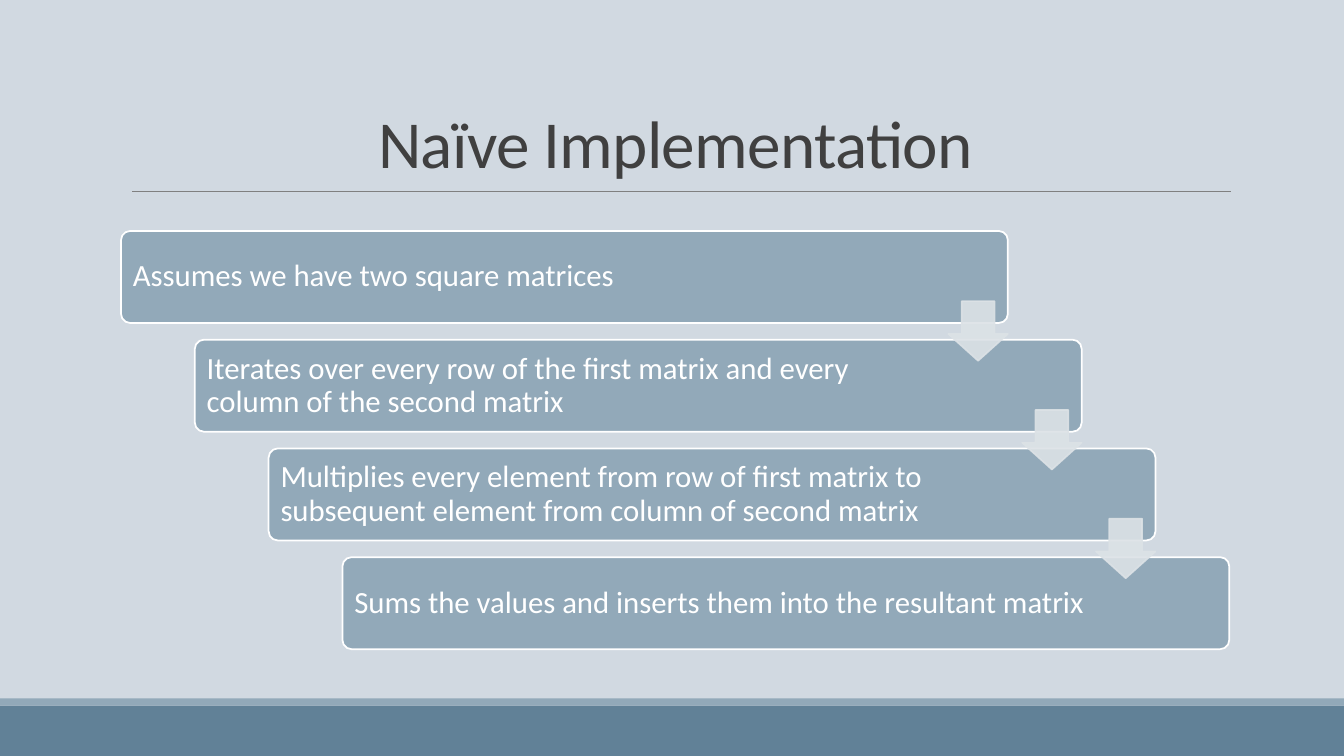
"""Build the slide "Naïve Implementation", a staircase of four process steps."""
from dataclasses import dataclass

from lxml.etree import SubElement
from pptx import Presentation
from pptx.dml.color import RGBColor
from pptx.enum.shapes import MSO_CONNECTOR as Connector, MSO_SHAPE as Preset
from pptx.enum.text import MSO_ANCHOR as Anchor, MSO_AUTO_SIZE as AutoSize
from pptx.oxml.ns import qn
from pptx.util import Cm, Pt

COLORS = {
    "background": "D1D9E1",
    "band": "618197",
    "step": "92A9B9",
    "arrow": "DCE2E6",
    "rule": "808080",
    "title": "404040",
    "white": "FFFFFF",
}


@dataclass(frozen=True)
class Box:
    """A rectangle in centimetres."""
    left: float
    top: float
    width: float
    height: float

    def shifted(self, right: float, down: float) -> "Box":
        """Return the box moved by the given distances."""
        return Box(self.left + right, self.top + down, self.width, self.height)

    def lengths(self) -> tuple[Cm, Cm, Cm, Cm]:
        """Return left, top, width and height as lengths."""
        return Cm(self.left), Cm(self.top), Cm(self.width), Cm(self.height)


@dataclass(frozen=True)
class Step:
    """One step of the algorithm and the width of its wording."""
    wording: str
    text_width: float = 18.86


STEPS = [
    Step("Assumes we have two square matrices", 19.66),
    Step("Iterates over every row of the first matrix and every column "
         "of the second matrix"),
    Step("Multiplies every element from row of first matrix to subsequent "
         "element from column of second matrix"),
    Step("Sums the values and inserts them into the resultant matrix"),
]
FIRST_CARD = Box(3.05, 5.82, 22.35, 2.32)
FIRST_ARROW = Box(23.9, 7.59, 1.5, 1.5)
STEP_RIGHT, STEP_DOWN = 1.86, 2.74
CARD_PADDING = 0.07


def rgb(name: str) -> RGBColor:
    """Look up a colour of the slide."""
    return RGBColor.from_string(COLORS[name])


def write(frame, text: str, *, size: float, color: str, spacing: float,
          anchor: Anchor, inset: float = 0.23, tracking: float = 0) -> None:
    """Put formatted text into a text frame."""
    frame.word_wrap = True
    frame.auto_size = AutoSize.NONE
    frame.vertical_anchor = anchor
    frame.margin_left = frame.margin_right = Cm(inset)
    frame.margin_top = frame.margin_bottom = Cm(inset)
    paragraph = frame.paragraphs[0]
    paragraph.line_spacing = spacing
    run = paragraph.add_run()
    run.text = text
    run.font.name = "Calibri"
    run.font.size = Pt(size)
    run.font.color.rgb = rgb(color)
    if tracking:
        run.font._element.set("spc", str(round(tracking * 100)))


def add_preset(slide, preset: Preset, box: Box, fill: str, *,
               outline: str | None = None, adjust: tuple[float, ...] = (),
               opacity: int = 100) -> None:
    """Draw a preset shape with a flat fill."""
    shape = slide.shapes.add_shape(preset, *box.lengths())
    shape.shadow.inherit = False
    for index, value in enumerate(adjust):
        shape.adjustments[index] = value
    shape.fill.solid()
    shape.fill.fore_color.rgb = rgb(fill)
    if outline:
        shape.line.color.rgb = rgb(outline)
        shape.line.width = Pt(1.25)
    else:
        shape.line.fill.background()
    if opacity < 100:
        for color in shape._element.spPr.iter(qn("a:srgbClr")):
            SubElement(color, qn("a:alpha"), val=str(opacity * 1000))


def add_backdrop(slide) -> None:
    """Draw the background, the bottom bands and the rule under the title."""
    slide.background.fill.solid()
    slide.background.fill.fore_color.rgb = rgb("background")
    add_preset(slide, Preset.RECTANGLE, Box(0, 17.78, 33.87, 1.27), "band")
    add_preset(slide, Preset.RECTANGLE, Box(0, 17.6, 33.87, 0.18), "step")
    rule = slide.shapes.add_connector(
        Connector.STRAIGHT, Cm(3.33), Cm(4.82), Cm(31.01), Cm(4.82))
    rule.line.color.rgb = rgb("rule")
    rule.line.width = Pt(0.5)
    SubElement(rule._element.spPr, qn("a:effectLst"))


def add_title(slide, text: str) -> None:
    """Place and format the title placeholder."""
    title = slide.shapes.title
    title.left, title.top, title.width, title.height = Box(
        3.05, 0.79, 27.94, 4.04).lengths()
    write(title.text_frame, text, size=48, color="title", spacing=0.85,
          anchor=Anchor.BOTTOM, inset=0.25, tracking=-0.5)


def add_step(slide, step: Step, card: Box) -> None:
    """Draw a step's card and its wording."""
    add_preset(slide, Preset.ROUNDED_RECTANGLE, card, "step",
               outline="white", adjust=(0.1,))
    area = Box(card.left + CARD_PADDING, card.top + CARD_PADDING,
               step.text_width, card.height - 2 * CARD_PADDING)
    wording = slide.shapes.add_textbox(*area.lengths())
    write(wording.text_frame, step.wording, size=22, color="white",
          spacing=0.9, anchor=Anchor.MIDDLE)


def main() -> None:
    """Build and save the slide."""
    deck = Presentation()
    deck.slide_width, deck.slide_height = Cm(33.87), Cm(19.05)
    slide = deck.slides.add_slide(deck.slide_layouts.get_by_name("Title Only"))
    add_backdrop(slide)
    add_title(slide, "Naïve Implementation")
    offsets = [(STEP_RIGHT * i, STEP_DOWN * i) for i in range(len(STEPS))]
    for step, offset in zip(STEPS, offsets):
        add_step(slide, step, FIRST_CARD.shifted(*offset))
    for offset in offsets[:-1]:
        add_preset(slide, Preset.DOWN_ARROW, FIRST_ARROW.shifted(*offset),
                   "arrow", outline="arrow", adjust=(0.55, 0.45), opacity=90)
    deck.save("out.pptx")


main()
